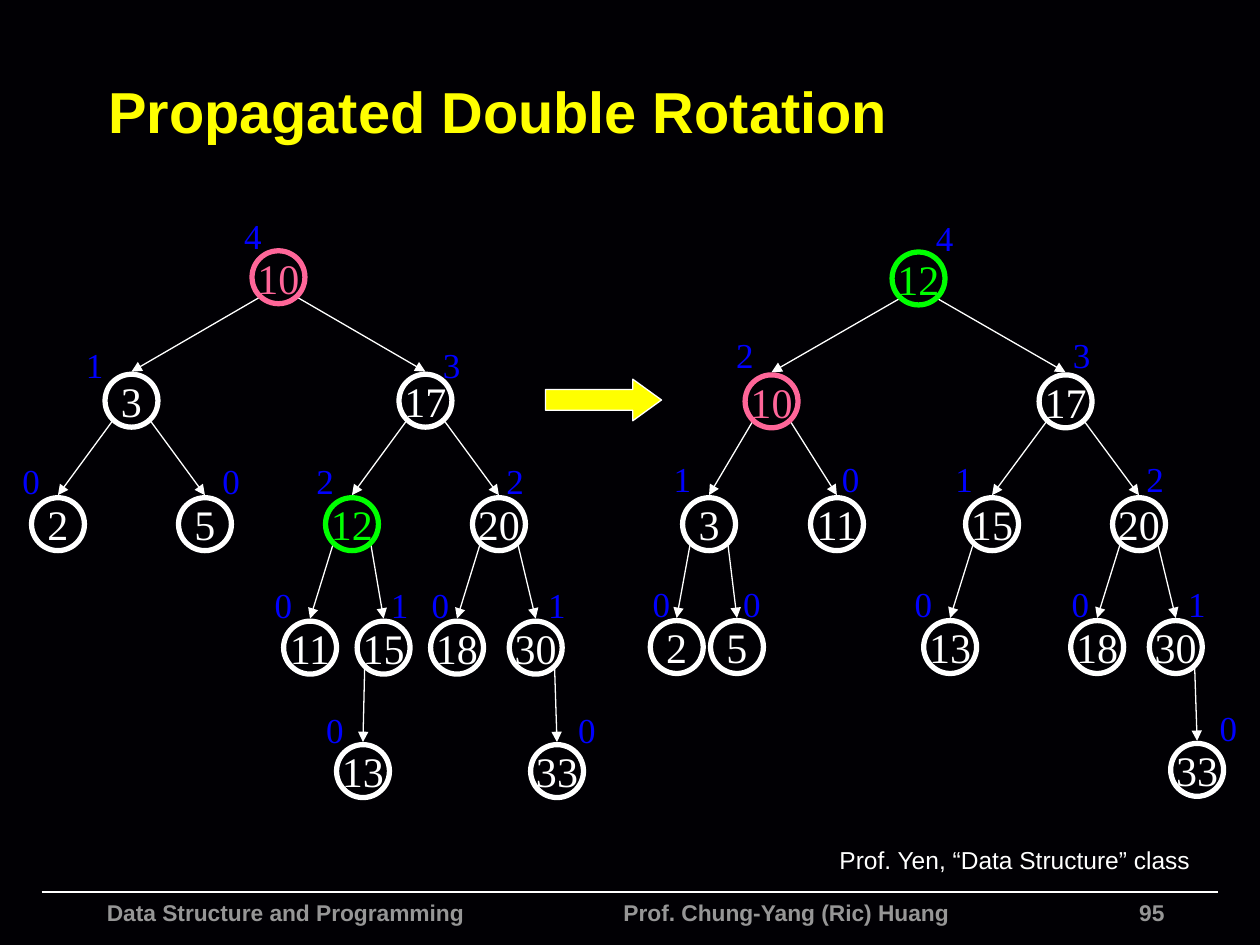
from dataclasses import dataclass
from typing import Optional

from pptx import Presentation
from pptx import util as u
from pptx.dml.color import RGBColor
from pptx.enum import shapes, text
from pptx.oxml import ns, xmlchemy

WIDTH, HEIGHT = 10, 7.5
BLACK = RGBColor(0x01, 0x00, 0x04)
WHITE = RGBColor(0xFF, 0xFF, 0xFF)
YELLOW = RGBColor(0xFF, 0xFF, 0x00)
PINK = RGBColor(0xFF, 0x66, 0x99)
GREEN = RGBColor(0x00, 0xFF, 0x00)
BLUE = RGBColor(0x00, 0x00, 0xFF)
GREY = RGBColor(0x96, 0x96, 0x96)

NODE = 0.42
LABEL = (0.34, 0.43)
COLUMNS, ROWS = 6, 4

TITLE_FONT = dict(name="Arial", size=u.Pt(33), bold=True)
FOOTER_FONT = dict(name="Arial", size=u.Pt(13), bold=True)
CREDIT_FONT = dict(name="Arial", size=u.Pt(14))
KEY_FONT = dict(name="Times New Roman", size=u.Pt(24))
LABEL_FONT = dict(name="Times New Roman", size=u.Pt(20))


@dataclass
class Node:
    """A tree node: its column on the grid and the sideways shift of its height label."""
    key: int
    column: float
    height: int
    shift: float
    left: Optional["Node"] = None
    right: Optional["Node"] = None
    color: RGBColor = WHITE


BEFORE = Node(
    10, 3, 4, -0.16, color=PINK,
    left=Node(3, 1, 1, -0.25, Node(2, 0, 0, -0.17), Node(5, 2, 0, 0.25)),
    right=Node(
        17, 5, 3, 0.25,
        Node(12, 4, 2, -0.17, color=GREEN,
             left=Node(11, 3.43, 0, -0.17),
             right=Node(15, 4.43, 1, 0.17, left=Node(13, 4.15, 0, -0.18))),
        Node(20, 6, 2, 0.17,
             left=Node(18, 5.43, 0, -0.09),
             right=Node(30, 6.5, 1, 0.21, right=Node(33, 6.79, 0, 0.28)))))

AFTER = Node(
    12, 3, 4, 0.25, color=GREEN,
    left=Node(
        10, 1, 2, -0.17, color=PINK,
        left=Node(3, 0.15, 1, -0.17, Node(2, -0.29, 0, -0.08), Node(5, 0.53, 0, 0.16)),
        right=Node(11, 1.89, 0, 0.15)),
    right=Node(
        17, 5, 3, 0.17,
        Node(15, 4, 1, -0.18, left=Node(13, 3.43, 0, -0.17)),
        Node(20, 6, 2, 0.17,
             left=Node(18, 5.43, 0, -0.09),
             right=Node(30, 6.5, 1, 0.21, right=Node(33, 6.79, 0, 0.29)))))

# How far each level's height labels start above its nodes
BEFORE_RISE = (0.34, 0.29, 0.35, 0.35, 0.34)
AFTER_RISE = (0.33, 0.38, 0.37, 0.35, 0.34)


def inches(*lengths):
    return [u.Inches(length) for length in lengths]


def write(shape, words, color, font, align=text.PP_ALIGN.LEFT,
          anchor=text.MSO_ANCHOR.TOP, wrap=False, tab=None, side=0.1):
    frame = shape.text_frame
    frame.word_wrap = wrap
    frame.vertical_anchor = anchor
    frame.margin_left = frame.margin_right = u.Inches(side)
    paragraph = frame.paragraphs[0]
    paragraph.alignment = align
    run = paragraph.add_run()
    run.text = words
    if tab:
        properties = paragraph._p.get_or_add_pPr()
        stops = xmlchemy.OxmlElement("a:tabLst")
        stop = xmlchemy.OxmlElement("a:tab")
        stop.set("pos", str(u.Inches(tab)))
        stop.set("algn", "l")
        stops.append(stop)
        properties.append(stops)
    for name, value in font.items():
        setattr(run.font, name, value)
    run.font.color.rgb = color


def add_text(slide, box, words, color, font, **layout):
    """Add a text box; one that does not wrap grows to fit its line."""
    shape = slide.shapes.add_textbox(*inches(*box))
    write(shape, words, color, font, **layout)
    if not layout.get("wrap"):
        shape.text_frame.auto_size = text.MSO_AUTO_SIZE.SHAPE_TO_FIT_TEXT


def add_line(slide, start, end, width, arrow=False):
    connector = slide.shapes.add_connector(
        shapes.MSO_CONNECTOR.STRAIGHT, *inches(*start, *end))
    connector.line.color.rgb = WHITE
    connector.line.width = u.Pt(width)
    properties = connector.element.spPr
    if arrow:
        tail = xmlchemy.OxmlElement("a:tailEnd")
        tail.set("type", "triangle")
        properties.find(ns.qn("a:ln")).append(tail)
    properties.append(xmlchemy.OxmlElement("a:effectLst"))


def add_node(slide, x, y, node, rise):
    """Draw one circle with its key, and its height label beside it."""
    circle = slide.shapes.add_shape(
        shapes.MSO_SHAPE.OVAL, *inches(x, y, NODE, NODE))
    circle.shadow.inherit = False
    circle.fill.background()
    circle.line.color.rgb = node.color
    circle.line.width = u.Pt(3)
    write(circle, str(node.key), node.color, KEY_FONT,
          align=text.PP_ALIGN.CENTER, anchor=text.MSO_ANCHOR.MIDDLE)
    add_text(slide, (x + node.shift, y - rise, *LABEL), str(node.height),
             BLUE, LABEL_FONT)


def add_tree(slide, box, node, rises, level=0):
    """Draw a subtree on the grid of the box and return its root's left and top."""
    left, top, width, height = box
    x = left + node.column * width / COLUMNS
    y = top + level * height / ROWS
    for child, exit_x in ((node.left, 0.06), (node.right, 0.36)):
        if child:
            child_x, child_y = add_tree(slide, box, child, rises, level + 1)
            add_line(slide, (x + exit_x, y + 0.37),
                     (child_x + NODE / 2, child_y - 0.02), 0.75, arrow=True)
    add_node(slide, x, y, node, rises[level])
    return x, y


def add_step_arrow(slide, box):
    arrow = slide.shapes.add_shape(shapes.MSO_SHAPE.RIGHT_ARROW, *inches(*box))
    arrow.adjustments[1] = 0.69
    arrow.shadow.inherit = False
    arrow.fill.solid()
    arrow.fill.fore_color.rgb = YELLOW
    arrow.line.color.rgb = WHITE
    arrow.line.width = u.Pt(0.75)


def add_footer(slide, box):
    left, top, width, height = box
    add_line(slide, (left, top), (left + width, top), 1)
    add_text(slide, (left + 0.42, top, 7.24, height),
             "Data Structure and Programming\tProf. Chung-Yang (Ric) Huang",
             GREY, FOOTER_FONT, wrap=True, tab=4.1)
    add_text(slide, (left + width - 3.5, top, 3.17, height), "95",
             GREY, FOOTER_FONT, align=text.PP_ALIGN.RIGHT, wrap=True)


def main():
    presentation = Presentation()
    presentation.slide_width, presentation.slide_height = inches(WIDTH, HEIGHT)
    slide = presentation.slides.add_slide(presentation.slide_layouts[6])
    slide.background.fill.solid()
    slide.background.fill.fore_color.rgb = BLACK

    add_text(slide, (0.76, 0.37, 8.84, 1.01), "Propagated Double Rotation",
             YELLOW, TITLE_FONT, anchor=text.MSO_ANCHOR.MIDDLE, wrap=True)
    add_tree(slide, (0.25, 1.99, 3.5, 3.92), BEFORE, BEFORE_RISE)
    add_step_arrow(slide, (4.33, 3.01, 0.92, 0.33))
    add_tree(slide, (5.33, 2, 3.5, 3.9), AFTER, AFTER_RISE)
    add_text(slide, (6.61, 6.66, 2.89, 0.33), "Prof. Yen, “Data Structure” class",
             WHITE, CREDIT_FONT, align=text.PP_ALIGN.CENTER, side=0.05)
    add_footer(slide, (0.33, 7.08, 9.34, 0.42))
    presentation.save("out.pptx")


if __name__ == "__main__":
    main()
